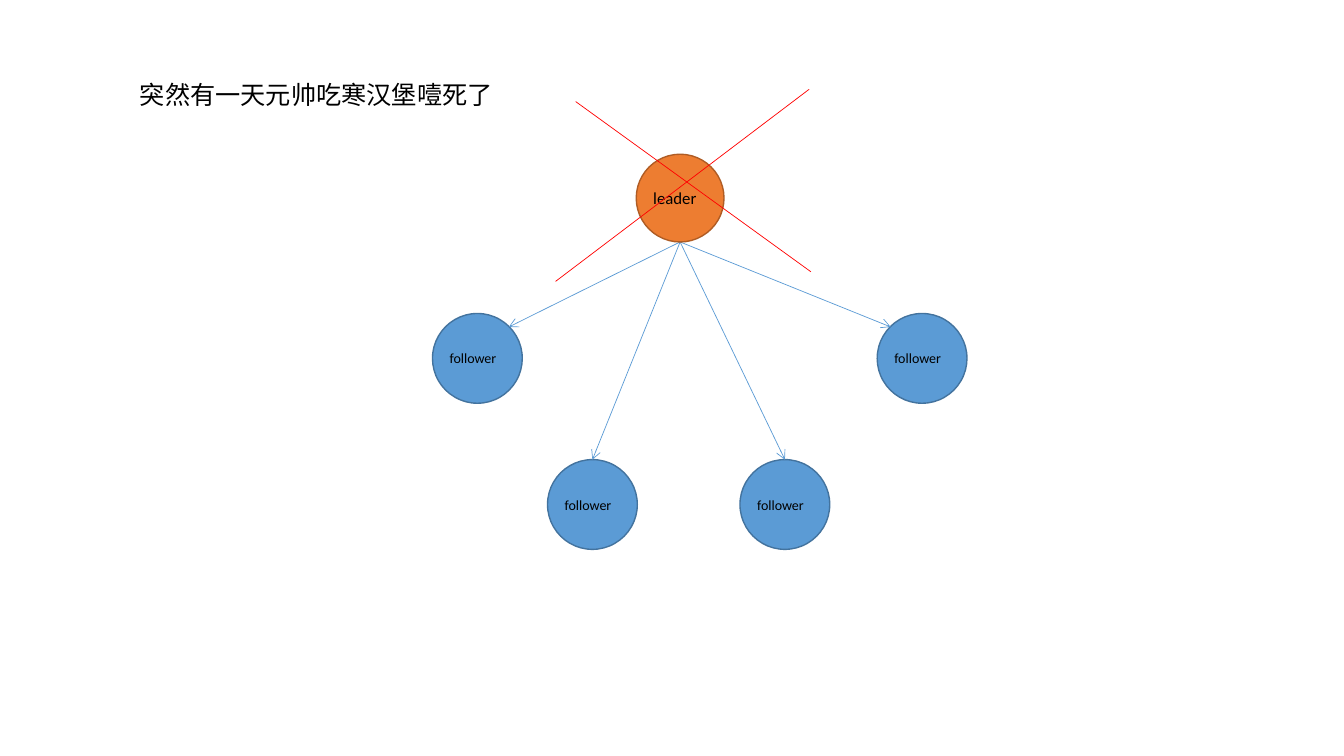
from collections import namedtuple

from lxml.etree import SubElement
from pptx import Presentation
from pptx.dml.color import RGBColor
from pptx.enum.shapes import MSO_CONNECTOR, MSO_SHAPE
from pptx.enum.text import MSO_ANCHOR, MSO_AUTO_SIZE, PP_ALIGN
from pptx.oxml.ns import qn
from pptx.util import Inches, Pt

BLACK = RGBColor(0, 0, 0)
RED = RGBColor(0xFF, 0, 0)
BLUE = RGBColor(0x5B, 0x9B, 0xD5)
DARK_BLUE = RGBColor(0x43, 0x73, 0x9E)
ORANGE = RGBColor(0xED, 0x7D, 0x31)
DARK_ORANGE = RGBColor(0xAF, 0x5C, 0x24)
FONT = "Calibri"

WIDTH, HEIGHT = Inches(13.33), Inches(7.5)
COLUMN, ROW = WIDTH / 100, HEIGHT / 100

# Top left corner in columns and rows, and where the arrow meets the circle
FOLLOWERS = [
    ((32.18, 41.47), (0.85, 0.15)),
    ((40.74, 60.8), (0.5, 0)),
    ((55.06, 60.8), (0.5, 0)),
    ((65.27, 41.47), (0.15, 0.15)),
]
# Ends of the strokes, in shares of the leader's circle
CROSS = [((1.97, -0.74), (-0.92, 1.45)), ((-0.69, -0.6), (1.99, 1.34))]

Box = namedtuple("Box", "left top width height")


def point_in(box, across, down):
    return (round(box.left + across * box.width),
            round(box.top + down * box.height))


def area_in(box, left, top, width, height):
    return Box(*point_in(box, left, top),
               round(width * box.width), round(height * box.height))


def circle_box(corner, columns):
    diameter = round(columns * COLUMN)
    return Box(round(corner[0] * COLUMN), round(corner[1] * ROW), diameter, diameter)


def add_words(frame, words, size):
    paragraph = frame.paragraphs[0]
    paragraph.alignment = PP_ALIGN.LEFT
    frame.vertical_anchor = MSO_ANCHOR.MIDDLE
    run = paragraph.add_run()
    run.text = words
    run.font.name = FONT
    run.font.size = Pt(size)
    run.font.color.rgb = BLACK


def add_headline(slide, box):
    headline = slide.shapes.title
    headline.left, headline.top, headline.width, headline.height = box
    frame = headline.text_frame
    frame.auto_size = MSO_AUTO_SIZE.NONE
    frame.word_wrap = True
    frame.margin_left = Inches(0.32)
    add_words(frame, "突然有一天元帅吃寒汉堡噎死了", 18)


def add_node(slide, box, role, size, fill, outline):
    node = slide.shapes.add_group_shape()
    circle = node.shapes.add_shape(MSO_SHAPE.OVAL, *box)
    circle.shadow.inherit = False
    circle.fill.solid()
    circle.fill.fore_color.rgb = fill
    circle.line.color.rgb = outline
    circle.line.width = Pt(1)
    label = node.shapes.add_textbox(*area_in(box, 0.08, 0.33, 0.84, 0.34))
    label.text_frame.word_wrap = False
    add_words(label.text_frame, role, size)


def add_stroke(slide, start, end, color, arrow=False):
    stroke = slide.shapes.add_connector(MSO_CONNECTOR.STRAIGHT, *start, *end)
    stroke.line.color.rgb = color
    stroke.line.width = Pt(0.5)
    properties = stroke._element.spPr
    if arrow:
        SubElement(properties.find(qn("a:ln")), qn("a:tailEnd"), type="arrow")
    SubElement(properties, qn("a:effectLst"))


def add_cluster(slide):
    leader = circle_box((47.34, 20.4), 6.53)
    followers = [(circle_box(corner, 6.68), target) for corner, target in FOLLOWERS]
    for follower, _ in followers:
        add_node(slide, follower, "follower", 10, BLUE, DARK_BLUE)
    for follower, target in followers:
        add_stroke(slide, point_in(leader, 0.5, 1), point_in(follower, *target),
                   BLUE, arrow=True)
    add_node(slide, leader, "leader", 12, ORANGE, DARK_ORANGE)
    for start, end in CROSS:
        add_stroke(slide, point_in(leader, *start), point_in(leader, *end), RED)


def main():
    deck = Presentation()
    deck.slide_width, deck.slide_height = WIDTH, HEIGHT
    slide = deck.slides.add_slide(deck.slide_layouts[5])
    page = Box(0, 0, WIDTH, HEIGHT)
    add_cluster(slide)
    add_headline(slide, area_in(page, 0.08, 0.1, 0.41, 0.05))
    deck.save("out.pptx")


if __name__ == "__main__":
    main()
